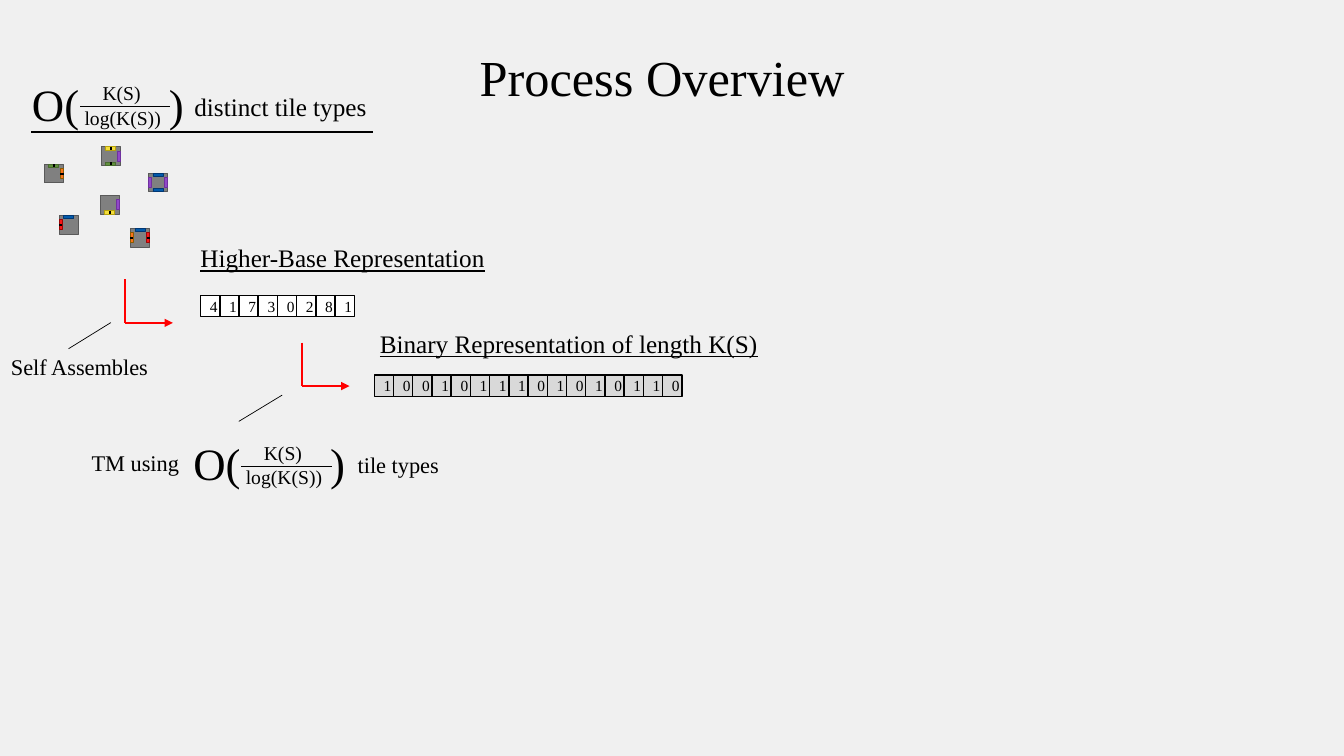
"""Build the Process Overview slide on assembling a shape from tiles."""
from lxml import etree
from pptx import Presentation
from pptx.dml.color import RGBColor
from pptx.enum.shapes import MSO_CONNECTOR, MSO_SHAPE
from pptx.enum.text import MSO_ANCHOR, MSO_AUTO_SIZE, PP_ALIGN
from pptx.oxml.ns import qn
from pptx.util import Pt

RECTANGLE = MSO_SHAPE.RECTANGLE
STRAIGHT = MSO_CONNECTOR.STRAIGHT
MIDDLE = MSO_ANCHOR.MIDDLE
CENTER, LEFT = PP_ALIGN.CENTER, PP_ALIGN.LEFT
GROW = MSO_AUTO_SIZE.SHAPE_TO_FIT_TEXT
FONT = "Times New Roman"
COLORS = {
    "background": "F0F0F0", "black": "000000", "white": "FFFFFF", "cell": "D9D9D9",
    "arrow": "FF0000", "tile": "808080", "tile edge": "595959",
    "blue": "015AAB", "blue edge": "013773", "purple": "9148C8", "purple edge": "7030A0",
    "yellow": "F4DE3A", "yellow edge": "B6A20A", "green": "608F3D", "green edge": "486B2E",
    "orange": "FC711C", "orange edge": "8A5D02", "red": "F81818", "red edge": "9D0505",
}
NOTCHED = ("yellow", "green", "orange", "red")

presentation = Presentation()
presentation.slide_width, presentation.slide_height = Pt(960), Pt(540)
slide = presentation.slides.add_slide(presentation.slide_layouts[6])
slide.background.fill.solid()
slide.background.fill.fore_color.rgb = RGBColor.from_string(COLORS["background"])


def add_item(box, fill=None, edge="black", weight=1, text="", size=11, align=LEFT,
             underline=None, wrap=False, tab=None):
    """Add a filled rectangle, or a text box when there is no fill."""
    place = [Pt(length) for length in box]
    if fill:
        shape = slide.shapes.add_shape(RECTANGLE, *place)
        shape.shadow.inherit = False
        shape.fill.solid()
        shape.fill.fore_color.rgb = RGBColor.from_string(COLORS[fill])
        shape.line.color.rgb = RGBColor.from_string(COLORS[edge])
        shape.line.width = Pt(weight)
        shape.text_frame.vertical_anchor = MIDDLE
    else:
        shape = slide.shapes.add_textbox(*place)
        shape.text_frame.auto_size = GROW
        shape.text_frame.word_wrap = wrap
    if text:
        paragraph = shape.text_frame.paragraphs[0]
        paragraph.alignment = align
        if tab:
            tabs = etree.SubElement(paragraph._p.get_or_add_pPr(), qn("a:tabLst"))
            etree.SubElement(tabs, qn("a:tab"), pos=str(Pt(tab)), algn="l")
        run = paragraph.add_run()
        run.text = text
        run.font.name, run.font.size, run.font.underline = FONT, Pt(size), underline
        run.font.color.rgb = RGBColor.from_string(COLORS["black"])


def add_line(start_x, start_y, end_x, end_y, weight, color="black", arrow=False):
    """Add a straight line, with an arrowhead at its end if asked."""
    connector = slide.shapes.add_connector(
        STRAIGHT, Pt(start_x), Pt(start_y), Pt(end_x), Pt(end_y))
    connector.line.color.rgb = RGBColor.from_string(COLORS[color])
    connector.line.width = Pt(weight)
    if arrow:
        etree.SubElement(connector.line._get_or_add_ln(), qn("a:tailEnd"), type="triangle")
    etree.SubElement(connector._element.spPr, qn("a:effectLst"))


CELL_WIDTH, CELL_HEIGHT = 13.73, 15.2
for row_left, row_top, digits, fill in (
    (267.4, 268, "1001011101010110", "cell"),
    (143.3, 211, "41730281", "white"),
):
    for column, digit in enumerate(digits):
        add_item((row_left + column * CELL_WIDTH, row_top, CELL_WIDTH, CELL_HEIGHT),
                 fill, text=digit, align=CENTER)

TILE_WIDTH, TILE_HEIGHT = 13.8, 13.2
GLUE_LENGTH, GLUE_DEPTH = 7.2, 2.2
MIDDLE_X, MIDDLE_Y = TILE_WIDTH / 2, TILE_HEIGHT / 2
SIDES = {
    "left": (0, MIDDLE_Y), "right": (TILE_WIDTH - GLUE_DEPTH, MIDDLE_Y),
    "top": (MIDDLE_X, 0), "bottom": (MIDDLE_X, TILE_HEIGHT - GLUE_DEPTH),
}
TILES = (
    (106, 123.8, {"top": "blue", "bottom": "blue", "left": "purple", "right": "purple"}),
    (72.2, 104.9, {"top": "yellow", "right": "purple", "bottom": "green"}),
    (71.5, 139.6, {"bottom": "yellow", "right": "purple"}),
    (31.6, 117.4, {"top": "green", "right": "orange"}),
    (42.3, 154, {"left": "red", "top": "blue"}),
    (93.1, 163.2, {"top": "blue", "left": "orange", "right": "red"}),
)
for left, top, glues in TILES:
    add_item((left, top, TILE_WIDTH, TILE_HEIGHT), "tile", "tile edge", 0.5)
    for side, color in glues.items():
        x, y = left + SIDES[side][0], top + SIDES[side][1]
        if side in ("left", "right"):
            box = (x, y - GLUE_LENGTH / 2, GLUE_DEPTH, GLUE_LENGTH)
            notch = (x, y, x + GLUE_DEPTH, y)
        else:
            box = (x - GLUE_LENGTH / 2, y, GLUE_LENGTH, GLUE_DEPTH)
            notch = (x, y, x, y + GLUE_DEPTH)
        add_item(box, color, f"{color} edge", 0.5)
        if color in NOTCHED:
            add_line(*notch, 1.5)

for corner_x, corner_y in ((89.3, 230.6), (215.5, 275.8)):
    add_line(corner_x, corner_y - 31, corner_x, corner_y, 1.5, "arrow")
    add_line(corner_x, corner_y, corner_x + 34.2, corner_y, 1.5, "arrow", arrow=True)

for left, top in ((15.8, 51.1), (131, 307.8)):
    add_item((left + 37.5, top + 20.7, 72.7, 24.5), text="log(K(S))", size=14, wrap=True)
    add_line(left + 41.4, top + 25.2, left + 105.9, top + 25.2, 0.5)
    add_item((left + 50.4, top + 3.4, 54.7, 24.5), text="K(S)", size=14, wrap=True)
    add_item((left, top, 131.8, 46.1), text="O(\t)", size=32, wrap=True, tab=97.8)

for box, text, size, underline in (
    ((131.8, 61.9, 139, 28.8), "distinct tile types", 18, None),
    ((136.1, 169.9, 219.6, 28.8), "Higher-Base Representation", 18, True),
    ((264.2, 231.1, 287.3, 28.8), "Binary Representation of length K(S)", 18, True),
    ((0.7, 248.4, 113.8, 26.6), "Self Assembles", 16, None),
    ((58.3, 317.5, 77.8, 26.6), "TM using", 16, None),
    ((248.4, 318.6, 73.4, 26.6), "tile types", 16, None),
):
    add_item(box, text=text, size=size, underline=underline)

add_line(22.3, 94.3, 266.4, 94.3, 1)
add_line(170.6, 301, 201.6, 282.2, 0.5)
add_line(49, 249.1, 79.2, 230.4, 0.5)
add_item((334.1, 29.5, 277.9, 51.1), text="Process Overview", size=36, align=CENTER)

presentation.save("out.pptx")
